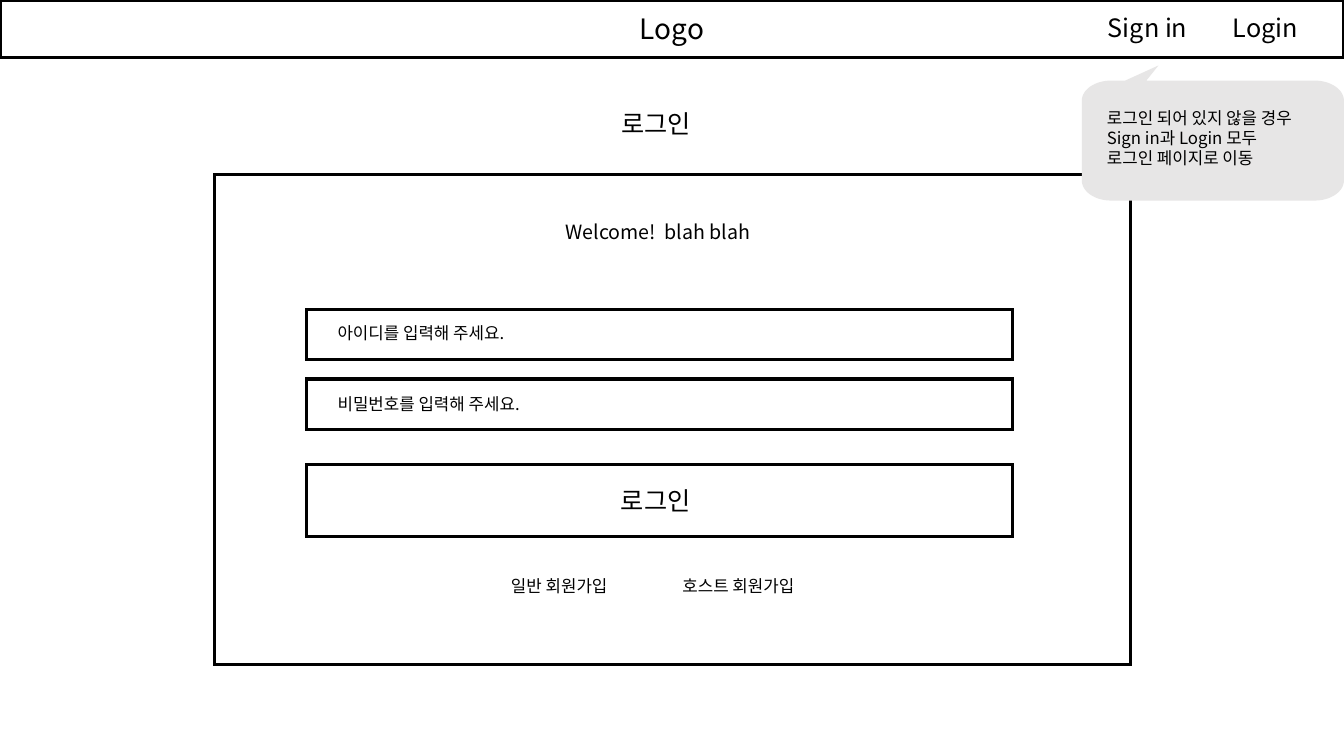
from dataclasses import dataclass
from math import cos, pi, sin

from lxml import etree
from pptx import Presentation
from pptx.dml.color import RGBColor
from pptx.enum.shapes import MSO_SHAPE
from pptx.enum.text import MSO_ANCHOR, PP_ALIGN
from pptx.oxml.ns import qn
from pptx.util import Inches, Pt

RECTANGLE = MSO_SHAPE.RECTANGLE
TOP, MIDDLE = MSO_ANCHOR.TOP, MSO_ANCHOR.MIDDLE
LEFT, CENTER = PP_ALIGN.LEFT, PP_ALIGN.CENTER
BLACK = RGBColor(0x00, 0x00, 0x00)
CALLOUT_GRAY = RGBColor(0xE7, 0xE6, 0xE6)
FONT = "Noto Sans CJK KR"
TITLE_ONLY = 5


@dataclass
class Box:
    """A place on the slide, in inches."""
    left: float
    top: float
    width: float
    height: float


@dataclass
class Label:
    """A piece of text with its place and size."""
    text: str
    box: Box
    size: int = 12


FIELD_LEFT, FIELD_WIDTH = 3.04, 7
HEADER = Box(0, 0, 13.33, 0.57)
OUTLINES = [
    Box(2.13, 1.73, 9.08, 4.86),
    Box(FIELD_LEFT, 3.07, FIELD_WIDTH, 0.5),
    Box(FIELD_LEFT, 3.76, FIELD_WIDTH, 0.5),
    Box(FIELD_LEFT, 4.61, FIELD_WIDTH, 0.71),
]
CALLOUT = Box(10.73, 0.8, 2.6, 1.19)
CALLOUT_TAIL = [(11.16, 0.8), (11.49, 0.65), (11.37, 0.8)]
TITLE = Label("로그인", Box(6.06, 1.02, 0.96, 0.4), 18)
LABELS = [
    Label("Sign in", Box(10.89, 0.07, 1.2, 0.4), 18),
    Label("Login", Box(12.13, 0.07, 1.1, 0.4), 18),
    Label("로그인 되어 있지 않을 경우\nSign in과 Login 모두\n로그인 페이지로 이동",
          Box(10.88, 1.02, 2.29, 0.71)),
    Label("Welcome!  blah blah", Box(5.51, 2.13, 2.05, 0.34), 14),
    Label("아이디를 입력해 주세요.", Box(3.25, 3.15, 2.04, 0.3)),
    Label("비밀번호를 입력해 주세요.", Box(3.25, 3.86, 2.21, 0.3)),
    Label("로그인", Box(6.06, 4.77, 0.96, 0.4), 18),
    Label("일반 회원가입", Box(4.97, 5.66, 1.27, 0.3)),
    Label("호스트 회원가입", Box(6.67, 5.66, 1.44, 0.3)),
]


def emu(box: Box) -> tuple:
    """Turn a box into the lengths that python-pptx takes."""
    return tuple(Inches(n) for n in (box.left, box.top, box.width, box.height))


def write(tf, text: str, size: int, align=LEFT, anchor=TOP) -> None:
    """Set the text of a frame and format its runs."""
    tf.text = text
    tf.word_wrap = False
    tf.vertical_anchor = anchor
    for p in tf.paragraphs:
        p.alignment = align
        for r in p.runs:
            r.font.size = Pt(size)
            r.font.name = FONT
            r.font.color.rgb = BLACK
            east_asian = etree.SubElement(r.font._element, qn("a:ea"))
            east_asian.set("typeface", FONT)


def add_outline(s, box: Box):
    """Draw an unfilled rectangle with a black, square-cornered border."""
    sp = s.shapes.add_shape(RECTANGLE, *emu(box))
    sp.shadow.inherit = False
    sp.fill.background()
    sp.line.color.rgb = BLACK
    sp.line.width = Pt(2.25)
    line = sp._element.spPr.find(qn("a:ln"))
    etree.SubElement(line, qn("a:miter")).set("lim", "800000")
    return sp


def add_callout(s, box: Box, tail: list, rx=0.29, ry=0.2, steps=16) -> None:
    """Draw a bubble with elliptical corners and a tail on its upper edge."""
    right, bottom = box.left + box.width, box.top + box.height
    corners = [
        (box.left + rx, box.top + ry),
        (right - rx, box.top + ry),
        (right - rx, bottom - ry),
        (box.left + rx, bottom - ry),
    ]
    points = []
    for quarter, (cx, cy) in enumerate(corners):
        for step in range(steps + 1):
            angle = pi + (quarter + step / steps) * pi / 2
            points.append((cx + rx * cos(angle), cy + ry * sin(angle)))
        if quarter == 0:
            points += tail
    points = [(Inches(x), Inches(y)) for x, y in points]
    builder = s.shapes.build_freeform(*points[0])
    builder.add_line_segments(points[1:], close=True)
    sp = builder.convert_to_shape()
    sp.shadow.inherit = False
    sp.fill.solid()
    sp.fill.fore_color.rgb = CALLOUT_GRAY
    sp.line.fill.background()


def add_label(s, label: Label) -> None:
    """Add a text box for a label."""
    sp = s.shapes.add_textbox(*emu(label.box))
    write(sp.text_frame, label.text, label.size)


prs = Presentation()
prs.slide_width, prs.slide_height = Inches(13.33), Inches(7.5)
s = prs.slides.add_slide(prs.slide_layouts[TITLE_ONLY])

title = s.shapes.title
title.left, title.top, title.width, title.height = emu(TITLE.box)
write(title.text_frame, TITLE.text, TITLE.size)

header = add_outline(s, HEADER)
write(header.text_frame, "Logo", 20, CENTER, MIDDLE)
for outline in OUTLINES:
    add_outline(s, outline)
add_callout(s, CALLOUT, CALLOUT_TAIL)
for label in LABELS:
    add_label(s, label)

prs.save("out.pptx")
